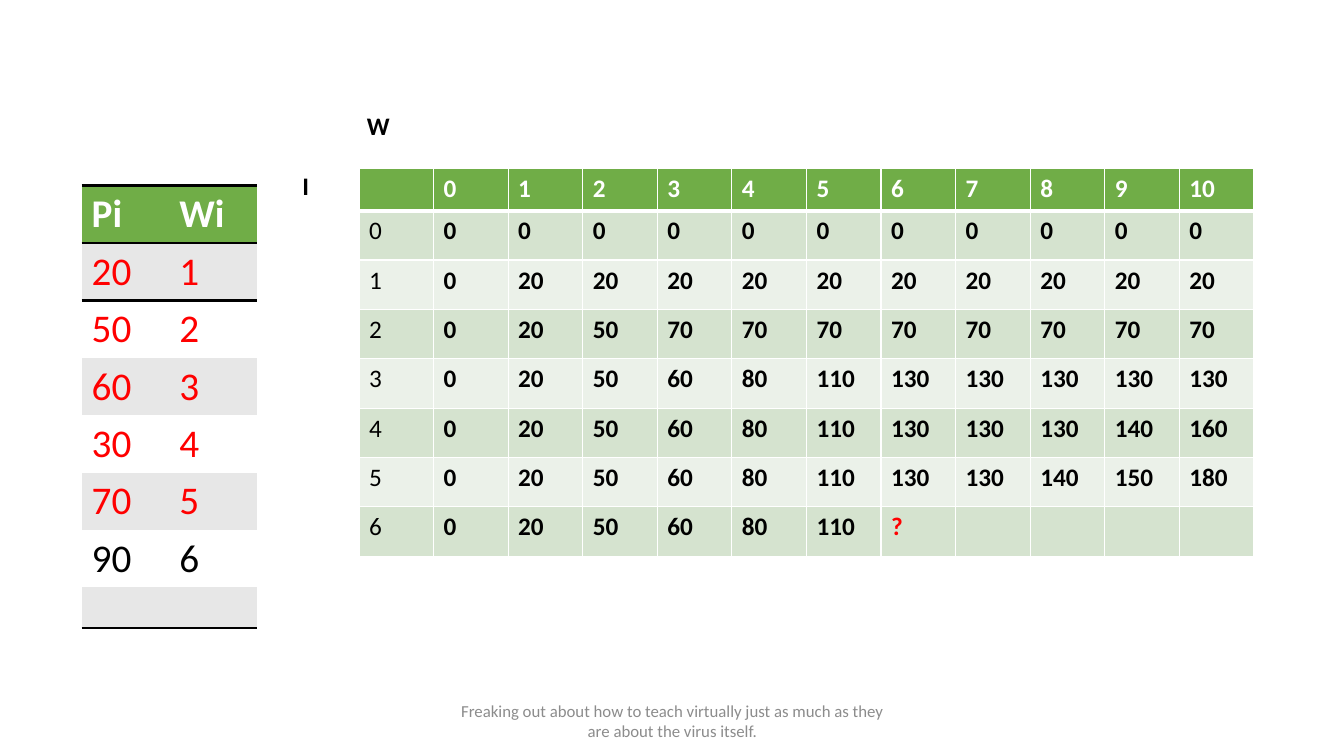
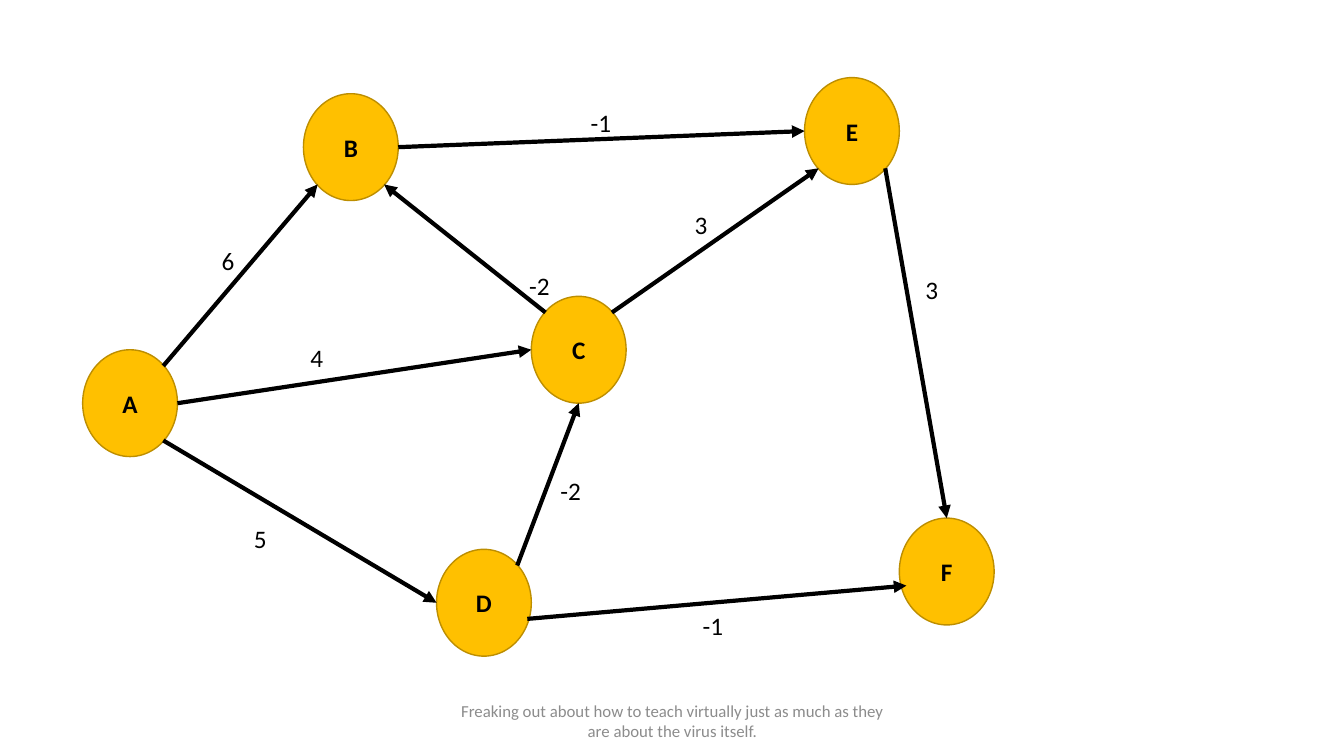
from math import cos, radians, sin

from lxml.etree import SubElement
from pptx import Presentation
from pptx.dml.color import RGBColor
from pptx.enum.shapes import MSO_CONNECTOR, MSO_SHAPE
from pptx.enum.text import MSO_ANCHOR, MSO_AUTO_SIZE, PP_ALIGN
from pptx.oxml.ns import qn
from pptx.util import Emu, Pt

PX = 9144  # 100 px to the inch
COLORS = {
    "black": "000000", "white": "FFFFFF", "red": "FF0000", "grey": "8C8C8C",
    "green": "70AD47", "sage": "D5E3CF", "mist": "EBF1E9", "silver": "E7E7E7",
    "amber": "FFC000", "amber_edge": "BD8E00",
}
FONT = "Calibri"
PLAIN_TABLE = "{2D5ABB26-0587-4C30-8999-92F81FD0307C}"
FOOTER = ("Freaking out about how to teach virtually just as much as they "
          "are about the virus itself.")
NODE_W, NODE_H = 94, 106


def px(*lengths):
    return [Emu(n * PX) for n in lengths]


def rgb(name):
    return RGBColor.from_string(COLORS[name])


def rim(center, angle):
    """Point on a node's outline; angle in degrees, clockwise from the right."""
    x, y = center
    a = radians(angle)
    return round(x + NODE_W / 2 * cos(a)), round(y + NODE_H / 2 * sin(a))


class Deck:
    def __init__(self):
        self.prs = Presentation()
        self.prs.slide_width, self.prs.slide_height = px(1333, 750)
        self.s = None

    def slide(self):
        self.s = self.prs.slides.add_slide(self.prs.slide_layouts[6])

    def put_text(self, tf, text, color="black", align=None, **fmt):
        p = tf.paragraphs[0]
        if align is not None:
            p.alignment = align
        r = p.add_run()
        r.text = text
        for name, value in {"name": FONT, "size": Pt(18), "bold": False, **fmt}.items():
            setattr(r.font, name, value)
        r.font.color.rgb = rgb(color)

    def label(self, x, y, w, text, wrap=False, **fmt):
        tf = self.s.shapes.add_textbox(*px(x, y, w, 40)).text_frame
        tf.word_wrap = wrap
        tf.auto_size = MSO_AUTO_SIZE.SHAPE_TO_FIT_TEXT
        self.put_text(tf, text, **fmt)

    def footer(self):
        tf = self.s.shapes.add_textbox(*px(442, 695, 450, 40)).text_frame
        tf.word_wrap = True
        tf.vertical_anchor = MSO_ANCHOR.MIDDLE
        self.put_text(tf, FOOTER, "grey", PP_ALIGN.CENTER, size=Pt(12))

    def node(self, center, text):
        x, y = center
        sp = self.s.shapes.add_shape(
            MSO_SHAPE.OVAL, *px(x - NODE_W // 2, y - NODE_H // 2, NODE_W, NODE_H))
        sp.shadow.inherit = False
        sp.fill.solid()
        sp.fill.fore_color.rgb = rgb("amber")
        sp.line.color.rgb = rgb("amber_edge")
        sp.line.width = Pt(1)
        sp.text_frame.vertical_anchor = MSO_ANCHOR.MIDDLE
        self.put_text(sp.text_frame, text, align=PP_ALIGN.CENTER, bold=True)

    def arrow(self, start, end):
        cx = self.s.shapes.add_connector(MSO_CONNECTOR.STRAIGHT, *px(*start, *end))
        cx.line.color.rgb = rgb("black")
        cx.line.width = Pt(3)
        sp_pr = cx.element.spPr
        SubElement(sp_pr.find(qn("a:ln")), qn("a:tailEnd"), type="triangle")
        SubElement(sp_pr, qn("a:effectLst"))

    def table(self, x, y, col_w, heights, rows, bands, size, border, text_style):
        """border(row) gives {side: (colour, points)}; text_style(row, col, text) a format."""
        n_cols = len(rows[0])
        frame = self.s.shapes.add_table(
            len(rows), n_cols, *px(x, y, col_w * n_cols, sum(heights)))
        table = frame.table
        table.horz_banding = False
        next(frame.element.iter(qn("a:tableStyleId"))).text = PLAIN_TABLE
        for col in table.columns:
            col.width, = px(col_w)
        for i, (row, height) in enumerate(zip(rows, heights)):
            table.rows[i].height, = px(height)
            for j, text in enumerate(row):
                cell = table.cell(i, j)
                self.cell_border(cell, border(i))
                cell.fill.solid()
                cell.fill.fore_color.rgb = rgb(bands[(i - 1) % 2] if i else "green")
                if text:
                    fmt = text_style(i, j, text) if i else {"color": "white", "bold": True}
                    self.put_text(cell.text_frame, text, size=Pt(size), **fmt)

    def cell_border(self, cell, sides):
        tc_pr = cell._tc.get_or_add_tcPr()
        for side in "LRTB":
            if side in sides:
                color, width = sides[side]
                ln = SubElement(tc_pr, qn(f"a:ln{side}"), w=str(int(Pt(width))))
                fill = SubElement(ln, qn("a:solidFill"))
                SubElement(fill, qn("a:srgbClr"), val=COLORS[color])


def knapsack(deck):
    profits = [
        "0 0 0 0 0 0 0 0 0 0 0",
        "0 20 20 20 20 20 20 20 20 20 20",
        "0 20 50 70 70 70 70 70 70 70 70",
        "0 20 50 60 80 110 130 130 130 130 130",
        "0 20 50 60 80 110 130 130 130 140 160",
        "0 20 50 60 80 110 130 130 140 150 180",
        "0 20 50 60 80 110 ?",
    ]
    rows = [["", *map(str, range(11))]]
    for i, line in enumerate(profits):
        row = [str(i), *line.split()]
        rows.append(row + [""] * (12 - len(row)))

    def grid_border(i):
        sides = dict.fromkeys("LRTB", ("white", 1))
        if i < 2:
            sides["T" if i else "B"] = ("white", 3)
        return sides

    def grid_text(i, j, text):
        return {"color": "red" if text == "?" else "black", "bold": j > 0}

    items = [("Pi", "Wi"), ("20", "1"), ("50", "2"), ("60", "3"),
             ("30", "4"), ("70", "5"), ("90", "6"), ("", "")]
    rule = ("black", 2)
    item_rules = {0: {"T": rule, "B": rule}, 1: {"T": rule}, 7: {"B": rule}}

    deck.slide()
    deck.table(356, 167, 74, [42] + [49] * 7, rows, ("sage", "mist"), 18,
               grid_border, grid_text)
    deck.footer()
    deck.label(354, 105, 43, "W", bold=True)
    deck.label(290, 164, 44, "I", wrap=True, bold=True)
    deck.table(81, 184, 87, [57] * 7 + [40], items, ("silver", "white"), 28,
               lambda i: item_rules.get(i, {}),
               lambda i, j, text: {"color": "red" if i < 6 else "black"})


def graph(deck):
    nodes = {"A": (129, 400), "D": (480, 598), "E": (845, 130),
             "C": (574, 347), "B": (348, 146), "F": (939, 567)}
    # start node, angle on its rim, end node, angle on its rim
    edges = [("C", 225, "B", 45), ("C", 315, "E", 135), ("B", 0, "E", 180),
             ("A", 315, "B", 135), ("A", 0, "C", 180), ("A", 45, "D", 180),
             ("D", 315, "C", 90), ("E", 45, "F", 270)]
    weights = [(210, 238, "6"), (546, 467, "-2"), (576, 102, "-1"),
               (679, 203, "3"), (908, 267, "3"), (687, 601, "-1"),
               (515, 263, "-2"), (298, 335, "4"), (242, 514, "5")]

    deck.slide()
    deck.footer()
    for name, center in nodes.items():
        deck.node(center, name)
    for start, out, end, into in edges:
        deck.arrow(rim(nodes[start], out), rim(nodes[end], into))
    deck.arrow((523, 614), (899, 581))  # D to F, between the rim points
    for x, y, text in weights:
        deck.label(x, y, 33 if len(text) == 1 else 41, text)


def main():
    deck = Deck()
    knapsack(deck)
    graph(deck)
    deck.prs.save("out.pptx")


if __name__ == "__main__":
    main()
